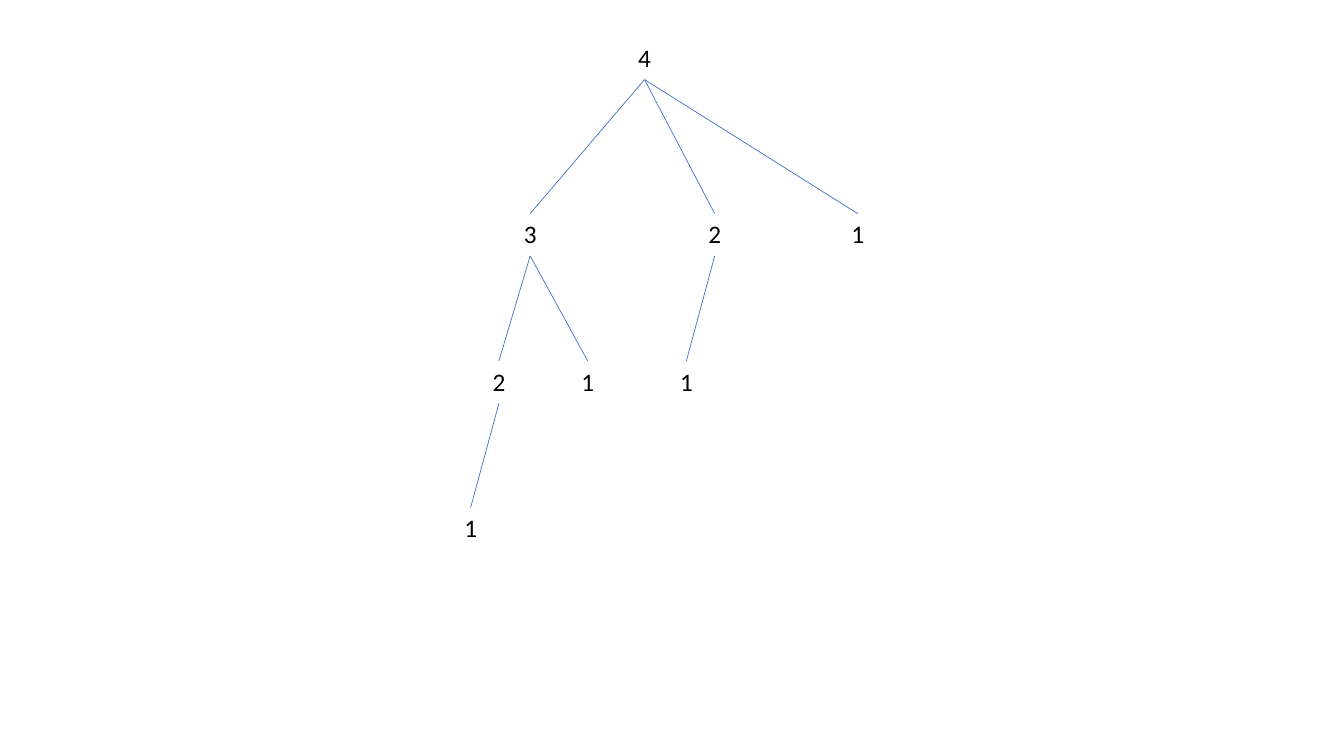
from pptx import Presentation
from pptx.dml.color import RGBColor
from pptx.enum.shapes import MSO_CONNECTOR
from pptx.enum.text import MSO_AUTO_SIZE, PP_ALIGN
from pptx.oxml.ns import qn
from pptx.util import Pt
from lxml import etree

LINE = MSO_CONNECTOR.STRAIGHT
CENTER = PP_ALIGN.CENTER
GROW = MSO_AUTO_SIZE.SHAPE_TO_FIT_TEXT

COLORS = {"text": "000000", "edge": "4472C4"}
FONT = {"name": "Calibri", "size": Pt(18)}
FRAME = {"word_wrap": True, "auto_size": GROW}
NODE_W, NODE_H = 59, 30.24

# Top of each level, from the top of the tree
LEVELS = [0, 126, 231.2, 335.9]

# Each node: label, center from the left of the tree, child nodes
TREE = ("4", 154.4, [
    ("3", 72.7, [
        ("2", 50.4, [("1", 30.2, [])]),
        ("1", 113.8, []),
    ]),
    ("2", 204.5, [("1", 184.3, [])]),
    ("1", 306.7, []),
])


def set_all(item, values):
    for key, value in values.items():
        setattr(item, key, value)


def add_label(slide, text, mid, top):
    box = slide.shapes.add_textbox(
        Pt(mid - NODE_W / 2), Pt(top), Pt(NODE_W), Pt(NODE_H))
    frame = box.text_frame
    set_all(frame, FRAME)
    para = frame.paragraphs[0]
    para.alignment = CENTER
    run = para.add_run()
    run.text = text
    set_all(run.font, FONT)
    run.font.color.rgb = RGBColor.from_string(COLORS["text"])


def add_edge(slide, start, end):
    edge = slide.shapes.add_connector(LINE, *map(Pt, start + end))
    edge.line.width = Pt(0.5)
    edge.line.color.rgb = RGBColor.from_string(COLORS["edge"])
    etree.SubElement(edge._element.spPr, qn("a:effectLst"))


def add_tree(slide, left, top, node, level=0):
    text, mid, kids = node
    head = top + LEVELS[level]
    add_label(slide, text, left + mid, head)
    for kid in kids:
        add_edge(slide, (left + mid, head + NODE_H),
                 (left + kid[1], top + LEVELS[level + 1]))
        add_tree(slide, left, top, kid, level + 1)


def main():
    deck = Presentation()
    set_all(deck, {"slide_width": Pt(960), "slide_height": Pt(540)})
    # Blank layout: the slide has no title
    slide = deck.slides.add_slide(deck.slide_layouts[6])
    add_tree(slide, 306, 26.6, TREE)
    deck.save("out.pptx")


if __name__ == "__main__":
    main()
